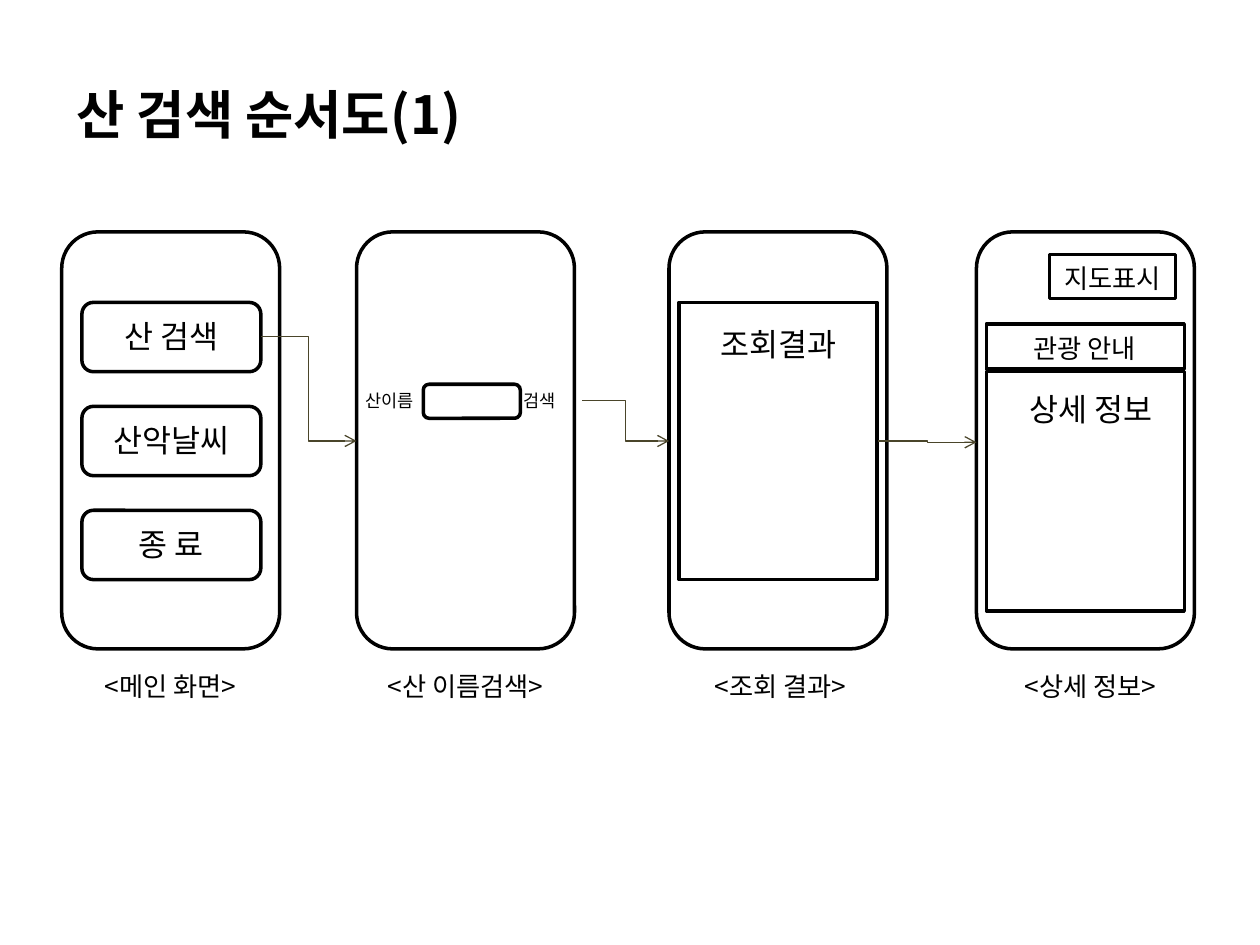
from lxml import etree
from pptx import Presentation
from pptx.dml.color import RGBColor
from pptx.enum import shapes, text
from pptx.oxml import ns
from pptx.util import Inches, Pt

BLACK = RGBColor(0x00, 0x00, 0x00)
OLIVE = RGBColor(0x4A, 0x45, 0x2A)
FONT = "Noto Sans CJK KR"
RECT = shapes.MSO_SHAPE.RECTANGLE
ROUND = shapes.MSO_SHAPE.ROUNDED_RECTANGLE
CENTER = text.PP_ALIGN.CENTER
LEFT = text.PP_ALIGN.LEFT
SCREEN_TOP, SCREEN_W, SCREEN_H = 1.84, 1.73, 3.31


def add_text(s, content, x, y, w, h, size=18, bold=False, align=CENTER):
    tf = s.shapes.add_textbox(Inches(x), Inches(y), Inches(w), Inches(h)).text_frame
    tf.word_wrap = True
    p = tf.paragraphs[0]
    p.alignment = align
    r = p.add_run()
    r.text = content
    r.font.size = Pt(size)
    r.font.bold = bold
    r.font.name = FONT
    r.font.color.rgb = BLACK
    etree.SubElement(r.font._element, ns.qn("a:ea"), typeface=FONT)


def add_outline(s, kind, x, y, w, h):
    sp = s.shapes.add_shape(kind, Inches(x), Inches(y), Inches(w), Inches(h))
    sp.shadow.inherit = False
    sp.fill.background()
    sp.line.color.rgb = BLACK
    sp.line.width = Pt(2)


def add_arrow(s, x1, y1, x2, y2):
    c = s.shapes.add_connector(shapes.MSO_CONNECTOR.ELBOW,
                               Inches(x1), Inches(y1), Inches(x2), Inches(y2))
    c.line.color.rgb = OLIVE
    c.line.width = Pt(0.75)
    etree.SubElement(c.line._get_or_add_ln(), ns.qn("a:tailEnd"), type="arrow")
    etree.SubElement(c._element.spPr, ns.qn("a:effectLst"))


def add_screen(s, x, y, w, h, caption, shift=0):
    add_outline(s, ROUND, x, y, w, h)
    add_text(s, caption, x + shift, y + h + 0.12, w, 0.35, size=15)


def main_screen(s, x, y, w, h):
    add_screen(s, x, y, w, h, "<메인 화면>")
    for i, label in enumerate(("산 검색", "산악날씨", "종 료")):
        top = y + 0.56 + i * 0.825
        add_outline(s, ROUND, x + 0.16, top, w - 0.31, 0.55)
        add_text(s, label, x + 0.16, top + 0.07, w - 0.31, 0.4)


def search_screen(s, x, y, w, h):
    add_screen(s, x, y, w, h, "<산 이름검색>")
    top = y + 1.21
    add_text(s, "산이름", x - 0.03, top, 0.94, 0.27, size=10, align=LEFT)
    add_outline(s, ROUND, x + 0.53, top, 0.77, 0.27)
    add_text(s, "검색", x + 1.23, top, 0.55, 0.27, size=10, align=LEFT)


def result_screen(s, x, y, w, h):
    add_screen(s, x, y, w, h, "<조회 결과>", shift=0.02)
    add_outline(s, RECT, x + 0.08, y + 0.56, w - 0.16, 2.2)
    add_text(s, "조회결과", x + 0.08, y + 0.69, w - 0.16, 0.4)


def detail_screen(s, x, y, w, h):
    add_screen(s, x, y, w, h, "<상세 정보>", shift=0.04)
    add_outline(s, RECT, x + 0.08, y + 1.11, w - 0.16, 1.9)
    add_text(s, "상세 정보", x + 0.12, y + 1.21, w - 0.16, 0.4)
    add_outline(s, RECT, x + 0.08, y + 0.73, w - 0.16, 0.36)
    add_text(s, "관광 안내", x + 0.15, y + 0.75, w - 0.31, 0.35, size=15)
    add_outline(s, RECT, x + 0.58, y + 0.18, 1, 0.35)
    add_text(s, "지도표시", x + 0.53, y + 0.19, 1.1, 0.35, size=15)


def main():
    prs = Presentation()
    prs.slide_width, prs.slide_height = Inches(10), Inches(7.5)
    s = prs.slides.add_slide(prs.slide_layouts[6])
    add_text(s, "산 검색 순서도(1)", 0.51, 0.6, 3.7, 0.61, size=30, bold=True, align=LEFT)
    screens = ((main_screen, 0.49), (search_screen, 2.83),
               (result_screen, 5.31), (detail_screen, 7.75))
    for draw, x in screens:
        draw(s, x, SCREEN_TOP, SCREEN_W, SCREEN_H)
    for ends in ((2.07, 2.67, 2.83, 3.5), (4.62, 3.18, 5.31, 3.5), (6.97, 3.5, 7.75, 3.51)):
        add_arrow(s, *ends)
    prs.save("out.pptx")


if __name__ == "__main__":
    main()
